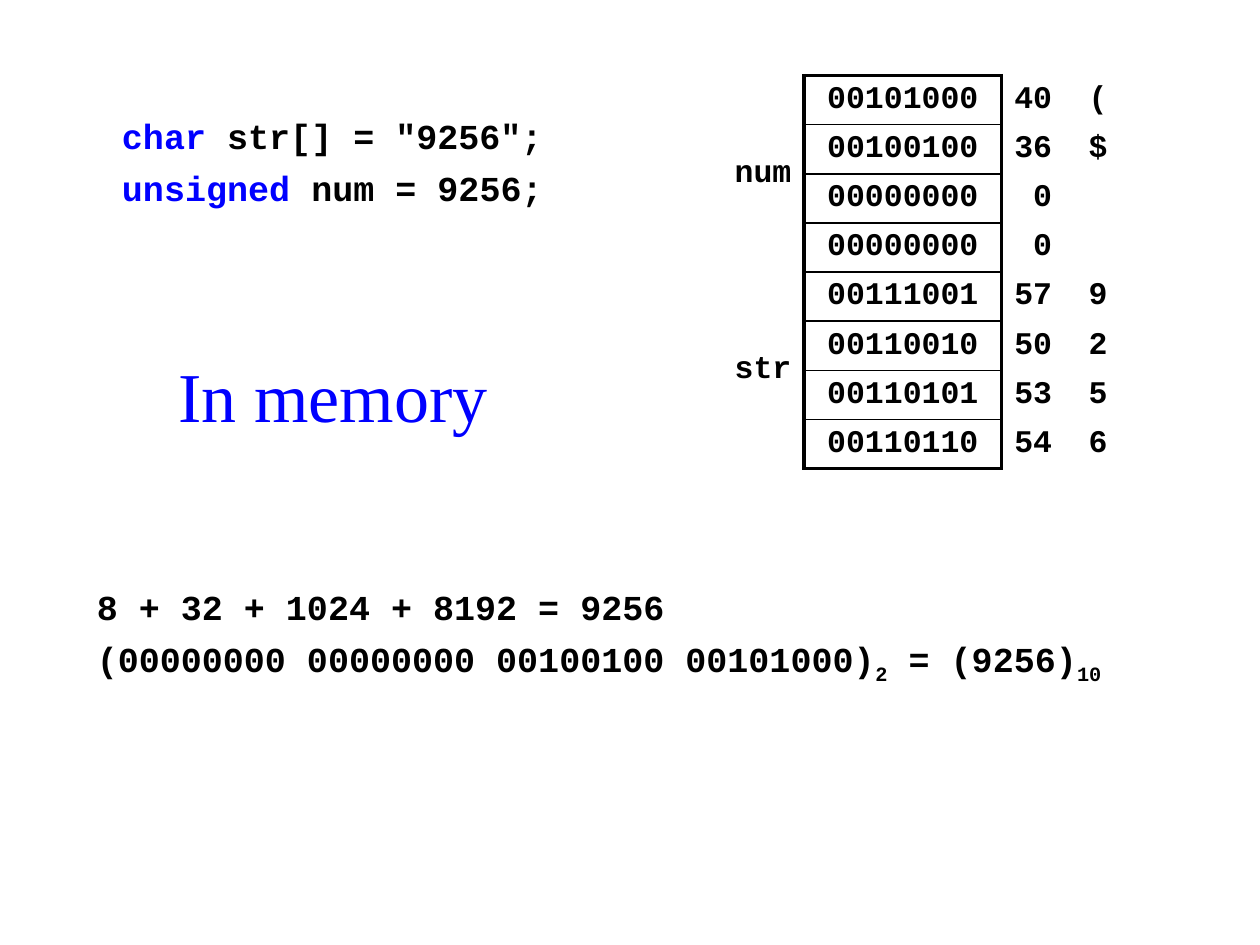
from lxml import etree
from pptx import Presentation
from pptx import util as u
from pptx.dml.color import RGBColor
from pptx.enum import text
from pptx.oxml.ns import qn

BLACK = RGBColor(0, 0, 0)
BLUE = RGBColor(0, 0, 255)
CODE_FONT = "Courier New"
TITLE_FONT = "Times New Roman"
OUTER, INNER = 2.25, 1

MEMORY = [
    ("num", [("00101000", "40", "("), ("00100100", "36", "$"), ("00000000", "0", ""), ("00000000", "0", "")]),
    ("str", [("00111001", "57", "9"), ("00110010", "50", "2"), ("00110101", "53", "5"), ("00110110", "54", "6")]),
]


class MemorySlide:
    """Holds the slide and its style, and draws code, titles and memory tables."""

    def __init__(self, slide):
        self.slide = slide

    def style(self, run, size, color=BLACK, font=CODE_FONT, bold=True):
        run.font.name = font
        run.font.size = u.Pt(size)
        run.font.bold = bold
        run.font.color.rgb = color

    def frame(self, left, top, width, height, margin_top):
        box = self.slide.shapes.add_textbox(*map(u.Inches, (left, top, width, height)))
        box.text_frame.word_wrap = True
        box.text_frame.margin_top = u.Inches(margin_top)
        return box.text_frame

    def code(self, left, top, width, height, lines):
        frame = self.frame(left, top, width, height, 0.11)
        for index, line in enumerate(lines):
            paragraph = frame.add_paragraph() if index else frame.paragraphs[0]
            if index:
                paragraph.space_before = u.Pt(5.4)
            for words, color, baseline in line:
                run = paragraph.add_run()
                run.text = words
                self.style(run, 20, color)
                if baseline:
                    run.font._element.set("baseline", str(baseline))

    def title(self, left, top, width, height, words):
        frame = self.frame(left, top, width, height, 0.1)
        frame.vertical_anchor = text.MSO_ANCHOR.MIDDLE
        frame.text = words
        self.style(frame.paragraphs[0].runs[0], 40, BLUE, TITLE_FONT, False)

    def borders(self, cell, **widths):
        cell.fill.background()
        properties = cell._tc.get_or_add_tcPr()
        for index, side in enumerate("LRTB"):
            width = widths.get(side, 0)
            line = etree.Element(qn(f"a:ln{side}"))
            if width:
                line.set("w", str(u.Pt(width)))
                fill = etree.SubElement(line, qn("a:solidFill"))
                etree.SubElement(fill, qn("a:srgbClr"), val=str(BLACK))
            else:
                etree.SubElement(line, qn("a:noFill"))
            properties.insert(index, line)

    def cell(self, cell, words, align):
        cell.vertical_anchor = text.MSO_ANCHOR.MIDDLE
        cell.margin_top = cell.margin_bottom = u.Inches(0.04)
        cell.text = words
        paragraph = cell.text_frame.paragraphs[0]
        paragraph.alignment = align
        for run in paragraph.runs:
            self.style(run, 18)

    def memory(self, left, top, column_widths, row_height, variables):
        count = sum(len(rows) for _, rows in variables)
        shape = self.slide.shapes.add_table(
            count, len(column_widths), u.Inches(left), u.Inches(top),
            u.Inches(sum(column_widths)), u.Inches(row_height * count))
        table = shape.table
        table.first_row = table.horz_banding = False
        for column, width in zip(table.columns, column_widths):
            column.width = u.Inches(width)
        for row in table.rows:
            row.height = u.Inches(row_height)

        aligns = (text.PP_ALIGN.RIGHT, text.PP_ALIGN.CENTER, text.PP_ALIGN.RIGHT, text.PP_ALIGN.LEFT)
        position = 0
        for name, rows in variables:
            for offset, values in enumerate(rows):
                index = position + offset
                name_cell, bits, number, symbol = table.rows[index].cells
                words = ("" if offset else name, *values)
                for cell, word, align in zip((name_cell, bits, number, symbol), words, aligns):
                    self.cell(cell, word, align)
                number.margin_left, number.margin_right = u.Inches(0.05), u.Inches(0.19)
                self.borders(name_cell, R=OUTER)
                self.borders(bits, L=OUTER, R=OUTER, T=INNER if index else OUTER,
                             B=INNER if index < count - 1 else OUTER)
                self.borders(number, L=OUTER)
                self.borders(symbol)
            table.cell(position, 0).merge(table.cell(position + len(rows) - 1, 0))
            position += len(rows)


def main():
    deck = Presentation()
    deck.slide_width, deck.slide_height = u.Inches(10), u.Inches(7.5)
    page = MemorySlide(deck.slides.add_slide(deck.slide_layouts[6]))
    page.memory(5.59, 0.6, (0.79, 1.57, 0.59, 0.39), 0.39, MEMORY)
    page.code(0.67, 4.54, 8.27, 0.79, [
        [("8 + 32 + 1024 + 8192 = 9256", BLACK, 0)],
        [("(00000000 00000000 00100100 00101000)", BLACK, 0), ("2", BLACK, -25000),
         (" = (9256)", BLACK, 0), ("10", BLACK, -25000)],
    ])
    page.code(0.87, 0.8, 3.54, 0.79, [
        [("char", BLUE, 0), (' str[] = "9256";', BLACK, 0)],
        [("unsigned", BLUE, 0), (" num = 9256;", BLACK, 0)],
    ])
    page.title(1.32, 2.67, 2.82, 0.87, "In memory")
    deck.save("out.pptx")


if __name__ == "__main__":
    main()
